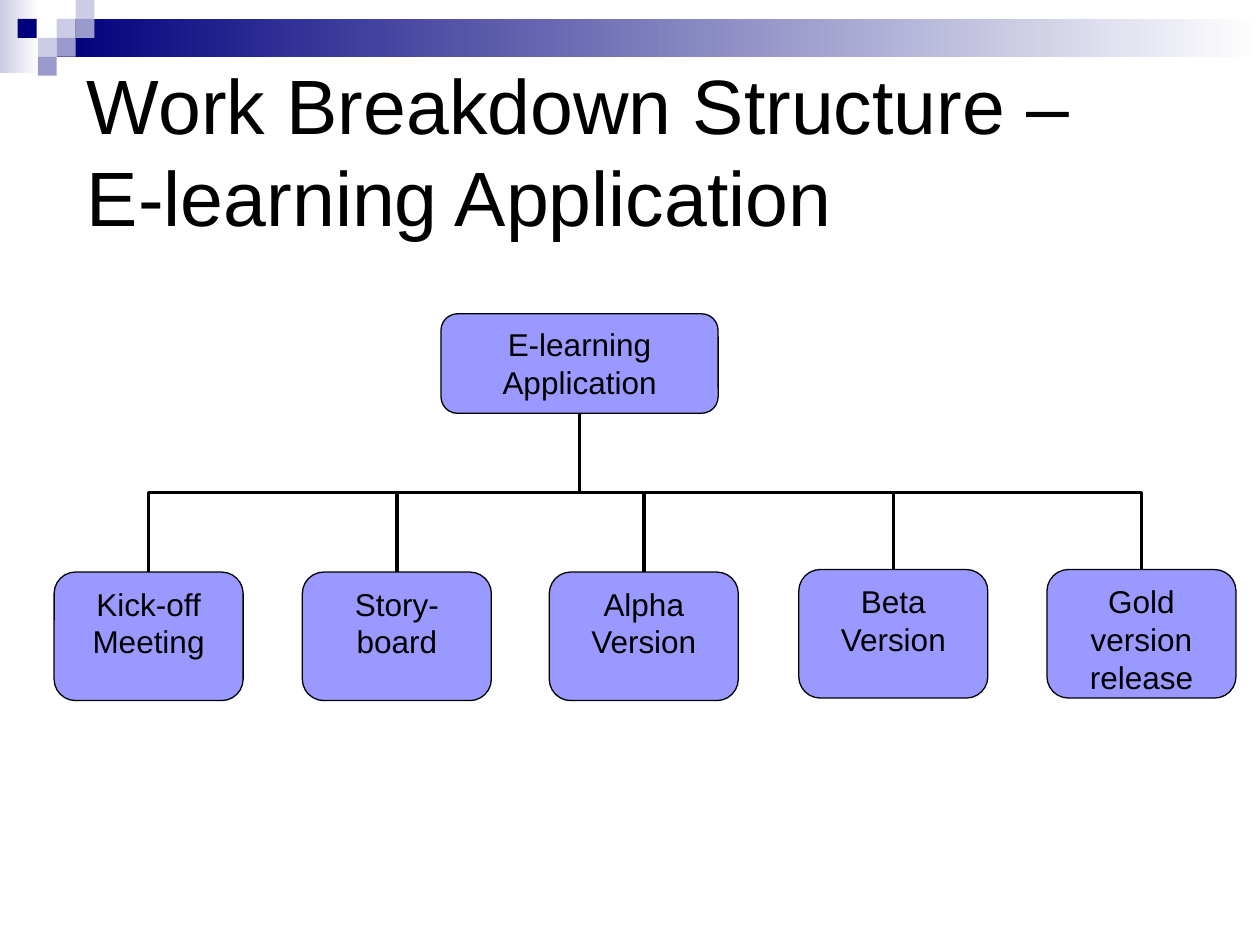
from pptx import Presentation
from pptx.dml.color import RGBColor
from pptx.enum.shapes import MSO_CONNECTOR, MSO_SHAPE
from pptx.enum.text import MSO_ANCHOR, MSO_AUTO_SIZE, PP_ALIGN
from pptx.oxml.ns import qn
from pptx.util import Inches, Pt
from lxml import etree

RECTANGLE = MSO_SHAPE.RECTANGLE
ROUNDED = MSO_SHAPE.ROUNDED_RECTANGLE
ELBOW = MSO_CONNECTOR.ELBOW
TOP, MIDDLE = MSO_ANCHOR.TOP, MSO_ANCHOR.MIDDLE
LEFT, CENTER = PP_ALIGN.LEFT, PP_ALIGN.CENTER
BOTTOM_SIDE, TOP_SIDE = 2, 0

COLORS = {
    "navy": "00007D",
    "mid": "9999CC",
    "pale": "CCCCE6",
    "white": "FFFFFF",
    "box": "9999FF",
    "black": "000000",
}
RGB = {name: RGBColor.from_string(value) for name, value in COLORS.items()}


def add_block(kind, left, top, width, height, color):
    block = page.shapes.add_shape(
        kind, Inches(left), Inches(top), Inches(width), Inches(height))
    block.shadow.inherit = False
    block.fill.solid()
    block.fill.fore_color.rgb = RGB[color]
    block.line.fill.background()
    return block


def write_text(shape, text, size, align, anchor):
    frame = shape.text_frame
    frame.text = text
    settings = {"word_wrap": True, "auto_size": MSO_AUTO_SIZE.NONE,
                "vertical_anchor": anchor,
                "margin_left": Inches(0.1), "margin_right": Inches(0.1),
                "margin_top": Inches(0.05), "margin_bottom": Inches(0.05)}
    for name, value in settings.items():
        setattr(frame, name, value)
    para = frame.paragraphs[0]
    para.alignment = align
    for span in para.runs:
        span.font.name = "Arial"
        span.font.size = Pt(size)
        span.font.color.rgb = RGB["black"]


deck = Presentation()
deck.slide_width, deck.slide_height = Inches(10), Inches(7.5)
page = deck.slides.add_slide(deck.slide_layouts[5])

# Header: two fading bars, then a scatter of small squares
bars = [(0, 0, 0.31, 0.58, "pale"), (0.45, 0.15, 9.55, 0.3, "navy")]
for left, top, width, height, color in bars:
    bar = add_block(RECTANGLE, left, top, width, height, color)
    bar.fill.gradient()
    bar.fill.gradient_angle = 0
    for stop, position, shade in zip(bar.fill.gradient_stops, (0, 1), (color, "white")):
        stop.position = position
        stop.color.rgb = RGB[shade]

SQUARE = 0.15
squares = [(0.45, 0.15, "pale"), (0.6, 0, "pale"), (0.6, 0.15, "mid"),
           (0.3, 0.3, "pale"), (0.14, 0.15, "navy"), (0.45, 0.3, "mid"),
           (0.3, 0.45, "mid")]
for left, top, color in squares:
    add_block(RECTANGLE, left, top, SQUARE, SQUARE, color)

# Title, in front of the header
title = page.shapes.title
title.left, title.top = Inches(0.59), Inches(0.44)
title.width, title.height = Inches(9), Inches(1.5)
write_text(title, "Work Breakdown Structure – \vE-learning Application", 44, LEFT, MIDDLE)
page.shapes._spTree.append(title._element)

# Work breakdown boxes: the root, then its parts from left to right
nodes = [
    ("E-learning Application", 3.5, 2.49, 2.2, 0.79),
    ("Kick-off Meeting", 0.43, 4.54, 1.5, 1.02),
    ("Story-board", 2.4, 4.54, 1.5, 1.02),
    ("Alpha Version", 4.36, 4.54, 1.5, 1.02),
    ("Beta Version", 6.34, 4.52, 1.5, 1.02),
    ("Gold version release", 8.31, 4.52, 1.5, 1.02),
]
boxes = []
for text, *place in nodes:
    box = add_block(ROUNDED, *place, "box")
    box.adjustments[0] = 0.167
    box.line.color.rgb = RGB["black"]
    box.line.width = Pt(0.75)
    write_text(box, text, 18, CENTER, TOP)
    boxes.append(box)

# Elbow connectors leave the root downwards, so each frame is a quarter turn
root, *parts = boxes
start_x, start_y = root.left + root.width // 2, root.top + root.height
bus_y = Inches(3.91)
for part in parts:
    end_x, end_y = part.left + part.width // 2, part.top
    drop, reach = end_y - start_y, abs(end_x - start_x)
    link = page.shapes.add_connector(ELBOW, start_x, start_y, end_x, end_y)
    link.begin_connect(root, BOTTOM_SIDE)
    link.end_connect(part, TOP_SIDE)
    link.left = (start_x + end_x - drop) // 2
    link.top = (start_y + end_y - reach) // 2
    link.width, link.height = drop, reach

    to_right = end_x > start_x
    properties = link._element.spPr
    turn = properties.find(qn("a:xfrm"))
    turn.set("rot", str((270 if to_right else 90) * 60000))
    turn.set("flipH", "1" if to_right else "0")
    turn.set("flipV", "0")
    guides = properties.find(qn("a:prstGeom")).get_or_add_avLst()
    bend = round((bus_y - start_y) / drop * 100000)
    etree.SubElement(guides, qn("a:gd"), name="adj1", fmla=f"val {bend}")

    link.line.color.rgb = RGB["black"]
    link.line.width = Pt(2)
    etree.SubElement(properties, qn("a:effectLst"))

deck.save("out.pptx")
